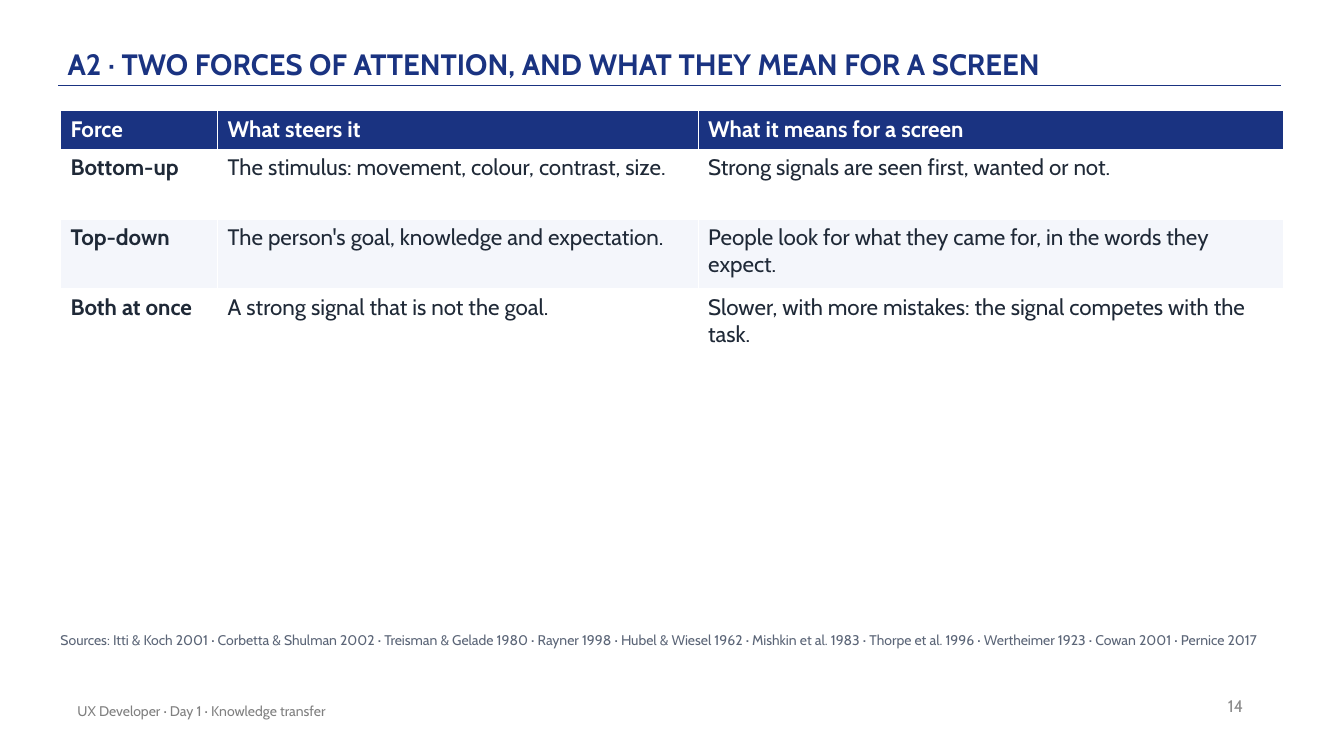
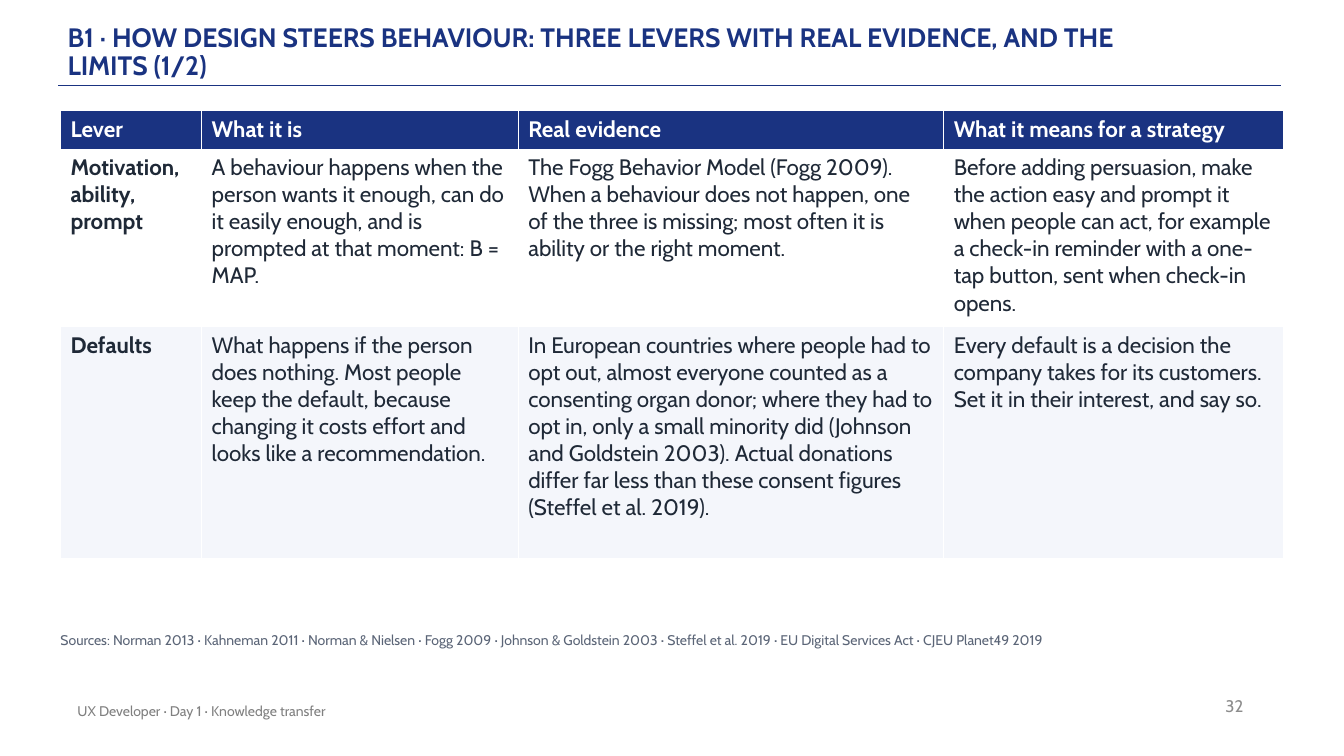
from lxml.etree import SubElement
from pptx import Presentation
from pptx.dml.color import RGBColor
from pptx.enum.shapes import MSO_CONNECTOR as Connector
from pptx.enum.text import MSO_ANCHOR as Anchor, MSO_AUTO_SIZE as AutoSize, PP_ALIGN as Align
from pptx.oxml.ns import qn
from pptx.util import Inches, Pt

# Shared look
FONT = "Cabin"
COLORS = {
    "navy": "1A3381", "white": "FFFFFF", "stripe": "F4F6FB", "ink": "1F2937",
    "source": "5B6577", "footer": "808080", "number": "8C8C8C",
}
SLIDE_W, SLIDE_H = 13.33, 7.5
LEFT, CONTENT_W = 0.6, 12.13
TEXT_LEFT = 0.67
TABLE_TOP = 1.1
HEADER_H = 0.38
LINE_H, ROW_PADDING = 0.267, 0.16
FOOTER = "UX Developer · Day 1 · Knowledge transfer"
TITLE_ONLY = 5

# Content: column weights, and body rows as (lines of text allowed for, cells)
SLIDES = [
    {
        "title": "A2 · TWO FORCES OF ATTENTION, AND WHAT THEY MEAN FOR A SCREEN",
        "title_size": 21,
        "number": "14",
        "columns": (1.56, 4.77, 5.81),
        "header": ("Force", "What steers it", "What it means for a screen"),
        "rows": [
            (2, ("Bottom-up",
                 "The stimulus: movement, colour, contrast, size.",
                 "Strong signals are seen first, wanted or not.")),
            (2, ("Top-down",
                 "The person's goal, knowledge and expectation.",
                 "People look for what they came for, in the words they expect.")),
            (2, ("Both at once",
                 "A strong signal that is not the goal.",
                 "Slower, with more mistakes: the signal competes with the task.")),
        ],
        "sources": "Sources: Itti & Koch 2001 · Corbetta & Shulman 2002 · Treisman & Gelade 1980 · "
                   "Rayner 1998 · Hubel & Wiesel 1962 · Mishkin et al. 1983 · Thorpe et al. 1996 · "
                   "Wertheimer 1923 · Cowan 2001 · Pernice 2017",
    },
    {
        "title": "B1 · HOW DESIGN STEERS BEHAVIOUR: THREE LEVERS WITH REAL EVIDENCE, "
                 "AND THE LIMITS (1/2)",
        "title_size": 19,
        "number": "32",
        "columns": (1.4, 3.14, 4.22, 3.37),
        "header": ("Lever", "What it is", "Real evidence", "What it means for a strategy"),
        "rows": [
            (6, ("Motivation, ability, prompt",
                 "A behaviour happens when the person wants it enough, can do it easily enough, "
                 "and is prompted at that moment: B = MAP.",
                 "The Fogg Behavior Model (Fogg 2009). When a behaviour does not happen, one of "
                 "the three is missing; most often it is ability or the right moment.",
                 "Before adding persuasion, make the action easy and prompt it when people can "
                 "act, for example a check-in reminder with a one-tap button, sent when check-in "
                 "opens.")),
            (8, ("Defaults",
                 "What happens if the person does nothing. Most people keep the default, because "
                 "changing it costs effort and looks like a recommendation.",
                 "In European countries where people had to opt out, almost everyone counted as a "
                 "consenting organ donor; where they had to opt in, only a small minority did "
                 "(Johnson and Goldstein 2003). Actual donations differ far less than these "
                 "consent figures (Steffel et al. 2019).",
                 "Every default is a decision the company takes for its customers. Set it in "
                 "their interest, and say so.")),
        ],
        "sources": "Sources: Norman 2013 · Kahneman 2011 · Norman & Nielsen · Fogg 2009 · "
                   "Johnson & Goldstein 2003 · Steffel et al. 2019 · EU Digital Services Act · "
                   "CJEU Planet49 2019",
    },
]


def color(name):
    return RGBColor.from_string(COLORS[name])


def write(frame, text, size, ink, bold=False, align=Align.LEFT, spacing=None, after=None):
    """Fill a text frame with one formatted paragraph."""
    frame.word_wrap = True
    paragraph = frame.paragraphs[0]
    paragraph.alignment = align
    if spacing:
        paragraph.line_spacing = spacing
    if after:
        paragraph.space_after = Pt(after)
    run = paragraph.add_run()
    run.text = text
    run.font.name = FONT
    run.font.size = Pt(size)
    run.font.bold = bold
    run.font.color.rgb = color(ink)


def set_margins(frame, side, edge):
    frame.margin_left = frame.margin_right = Inches(side)
    frame.margin_top = frame.margin_bottom = Inches(edge)


def add_label(slide, box, text, anchor=Anchor.MIDDLE, **style):
    frame = slide.shapes.add_textbox(*map(Inches, box)).text_frame
    frame.vertical_anchor = anchor
    write(frame, text, **style)
    return frame


def add_title(slide, text, size):
    title = slide.shapes.title
    title.left, title.top, title.width, title.height = map(Inches, (TEXT_LEFT, 0.12, 11, 0.72))
    frame = title.text_frame
    frame.auto_size = AutoSize.NONE
    frame.vertical_anchor = Anchor.BOTTOM
    set_margins(frame, 0, 0.03)
    write(frame, text, size, "navy", bold=True, spacing=0.9)


def add_title_rule(slide):
    rule = slide.shapes.add_connector(
        Connector.STRAIGHT, *map(Inches, (0.58, 0.85, 12.71, 0.85)))
    rule.line.color.rgb = color("navy")
    rule.line.width = Pt(1)
    SubElement(rule._element.spPr, qn("a:effectLst"))


def add_content_table(slide, columns, header, rows):
    heights = [HEADER_H] + [ROW_PADDING + LINE_H * lines for lines, _ in rows]
    grid = [header] + [cells for _, cells in rows]
    table = slide.shapes.add_table(
        len(grid), len(columns), Inches(LEFT), Inches(TABLE_TOP),
        Inches(CONTENT_W), Inches(sum(heights))).table
    for column, weight in zip(table.columns, columns):
        column.width = Inches(CONTENT_W * weight / sum(columns))
    for r, (height, texts) in enumerate(zip(heights, grid)):
        table.rows[r].height = Inches(height)
        is_header = r == 0
        fill = "navy" if is_header else "white" if r % 2 else "stripe"
        for c, text in enumerate(texts):
            cell = table.cell(r, c)
            cell.fill.solid()
            cell.fill.fore_color.rgb = color(fill)
            write(cell.text_frame, text, 16, "white" if is_header else "ink",
                  bold=is_header or c == 0)


def add_sources(slide, text):
    frame = add_label(slide, (LEFT, 6.27, 12.1, 0.3), text, anchor=Anchor.TOP,
                      size=10, ink="source", after=6)
    set_margins(frame, 0, 0)
    frame.auto_size = AutoSize.SHAPE_TO_FIT_TEXT


def add_footer(slide, number):
    add_label(slide, (9.43, 6.8, 3, 0.4), number, size=12, ink="number", align=Align.RIGHT)
    add_label(slide, (TEXT_LEFT, 6.85, 6.7, 0.4), FOOTER, size=10, ink="footer")


def main():
    deck = Presentation()
    deck.slide_width, deck.slide_height = Inches(SLIDE_W), Inches(SLIDE_H)
    for content in SLIDES:
        slide = deck.slides.add_slide(deck.slide_layouts[TITLE_ONLY])
        add_title_rule(slide)
        add_title(slide, content["title"], content["title_size"])
        add_footer(slide, content["number"])
        add_content_table(slide, content["columns"], content["header"], content["rows"])
        add_sources(slide, content["sources"])
    deck.save("out.pptx")


if __name__ == "__main__":
    main()
